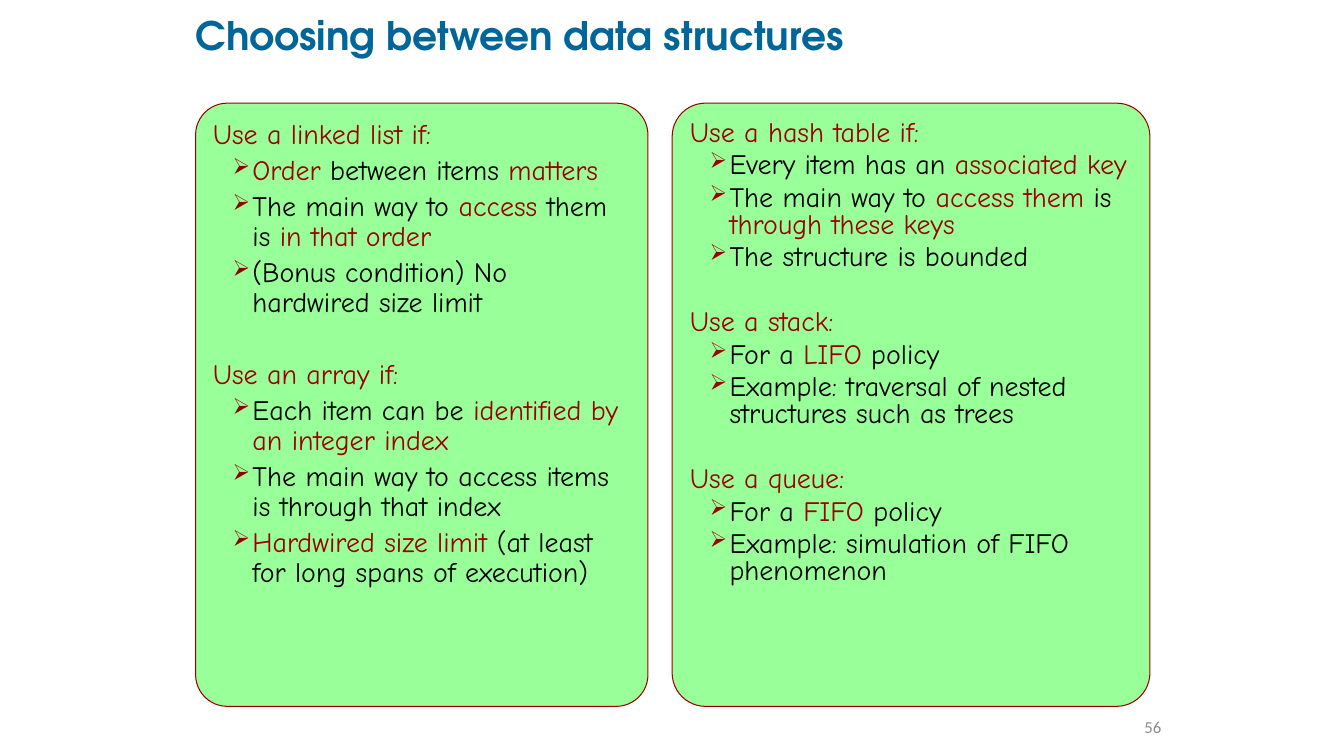
from pptx import Presentation
from pptx.dml.color import RGBColor
from pptx.enum.shapes import MSO_SHAPE
from pptx.enum.text import MSO_ANCHOR, PP_ALIGN
from pptx.oxml import parse_xml
from pptx.oxml.ns import nsdecls
from pptx.util import Cm, Pt

HUES = {"title": "006699", "panel": "99FF99", "red": "990000",
        "dark": "8B0000", "black": "000000", "grey": "8C8C8C"}

# Text between asterisks is red
LEFT = [
    ("Use a linked list if:", [
        "*Order* between items *matters*",
        "The main way to *access* them is *in that order*",
        "(Bonus condition) No hardwired size limit"]),
    ("Use an array if:", [
        "Each item can be *identified by an integer index*",
        "The main way to access items is through that index",
        "*Hardwired size limit *(at least for long spans of execution)"]),
]
RIGHT = [
    ("Use a hash table if:", [
        "Every item has an *associated key*",
        "The main way to *access them *is *through these keys*",
        "The structure is bounded"]),
    ("Use a stack:", [
        "For a *LIFO* policy",
        "Example: traversal of nested structures such as trees"]),
    ("Use a queue:", [
        "For a *FIFO* policy",
        "Example: simulation of FIFO phenomenon"]),
]


def rgb(name):
    return RGBColor.from_string(HUES[name])


def write(para, text, font="Comic Neue", size=20, hue="black", bold=False,
          lead=None, gap=None, align=None):
    """Fill a paragraph, turning starred parts red."""
    if lead:
        para.line_spacing = lead
    if gap:
        para.space_before = Pt(gap)
    if align:
        para.alignment = align
    for i, part in enumerate(text.split("*")):
        if part:
            run = para.add_run()
            run.text = part
            run.font.name, run.font.size = font, Pt(size)
            run.font.bold = bold
            run.font.color.rgb = rgb("red" if i % 2 else hue)


class Deck:
    def __init__(self):
        self.file = Presentation()
        self.file.slide_width, self.file.slide_height = Cm(33.87), Cm(19.05)
        self.slide = self.file.slides.add_slide(self.file.slide_layouts[6])

    def frame(self, shape, inset, anchor):
        frame = shape.text_frame
        frame.word_wrap = True
        frame.vertical_anchor = anchor
        frame.margin_left = frame.margin_right = Cm(inset)
        frame.margin_top = frame.margin_bottom = Cm(inset)
        return frame

    def label(self, text, box, inset=0, **style):
        shape = self.slide.shapes.add_textbox(*map(Cm, box))
        frame = self.frame(shape, inset, MSO_ANCHOR.MIDDLE)
        write(frame.paragraphs[0], text, **style)

    def bullet(self, para, hue):
        para.level = 1
        props = para._p.get_or_add_pPr()
        props.set("marL", str(Cm(1)))
        props.set("indent", str(Cm(-0.5)))
        for tag in (f'buClr {nsdecls("a")}><a:srgbClr val="{HUES[hue]}"/></a:buClr',
                    f'buSzPct {nsdecls("a")} val="80000"/',
                    f'buChar {nsdecls("a")} char="➢"/'):
            props.append(parse_xml(f"<a:{tag}>"))

    def panel(self, groups, box, curve, lead, mark):
        shape = self.slide.shapes.add_shape(
            MSO_SHAPE.ROUNDED_RECTANGLE, *map(Cm, box))
        shape.adjustments[0] = curve
        shape.shadow.inherit = False
        shape.fill.solid()
        shape.fill.fore_color.rgb = rgb("panel")
        shape.line.color.rgb = rgb("red")
        shape.line.width = Pt(0.75)
        frame = self.frame(shape, 0.2, MSO_ANCHOR.TOP)
        for i, (head, items) in enumerate(groups):
            para = frame.add_paragraph() if i else frame.paragraphs[0]
            # One line of space between groups
            write(para, head, hue="red", lead=lead, align=PP_ALIGN.LEFT,
                  gap=round(8 + 24 * lead, 1) if i else None)
            for item in items:
                para = frame.add_paragraph()
                self.bullet(para, mark)
                write(para, item, lead=lead, gap=4, align=PP_ALIGN.LEFT)


def main():
    deck = Deck()
    # Title
    deck.label("Choosing between data structures", (4.93, 0.33, 22.07, 1.22),
               font="TeX Gyre Adventor", size=28, hue="title", bold=True,
               lead=0.9)
    # Panels
    deck.panel(LEFT, (4.93, 2.6, 11.4, 15.2), 0.07, 0.9, "dark")
    deck.panel(RIGHT, (16.94, 2.6, 12.04, 15.2), 0.07, 0.8, "red")
    # Page number
    deck.label("56", (28, 17.6, 1.52, 1.45), inset=0.25, font="Calibri",
               size=12, hue="grey", align=PP_ALIGN.RIGHT)
    deck.file.save("out.pptx")


if __name__ == "__main__":
    main()
